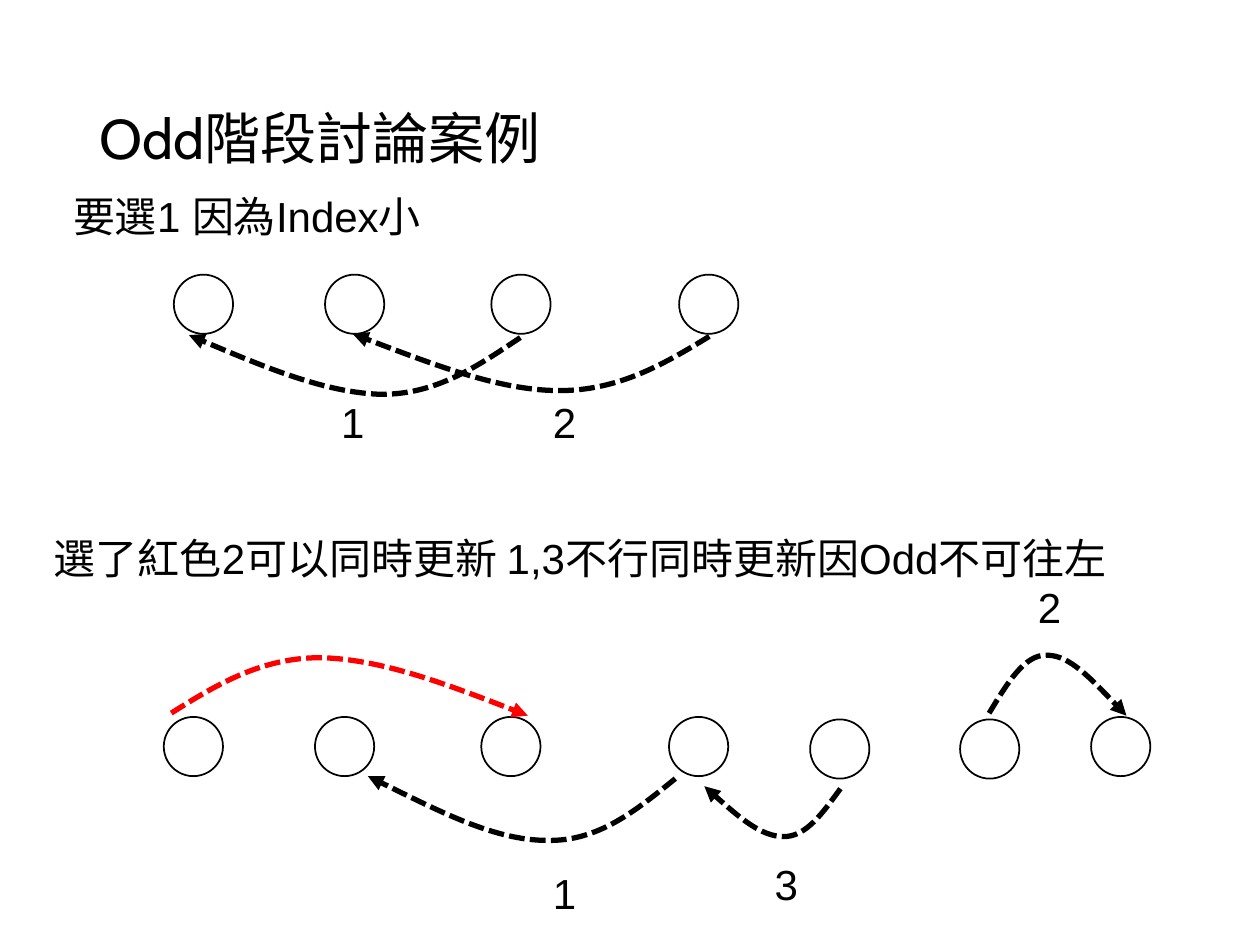
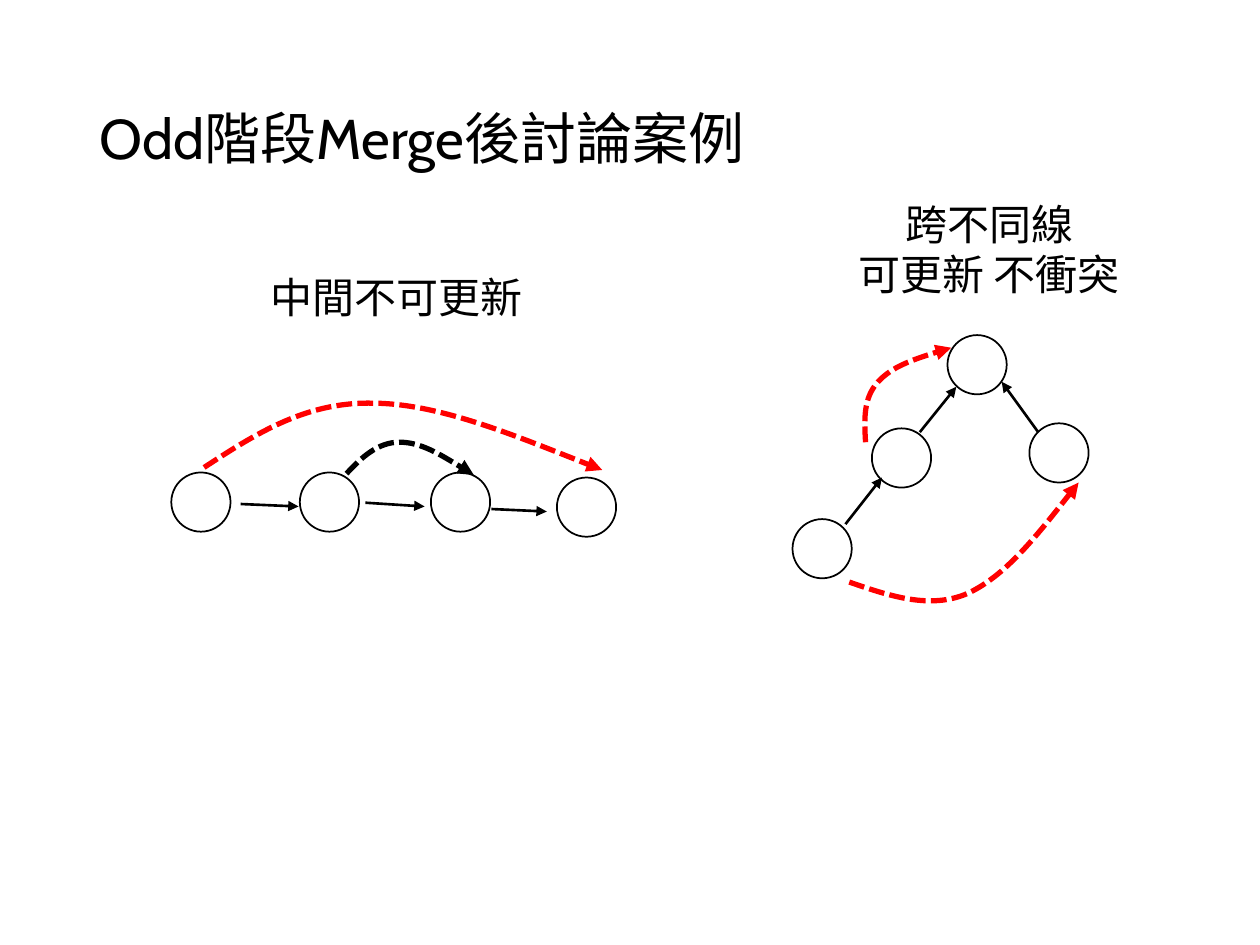
from dataclasses import dataclass

from pptx import Presentation
from pptx.dml.color import RGBColor
from pptx.enum.dml import MSO_LINE_DASH_STYLE as Dash
from pptx.enum.shapes import MSO_CONNECTOR, MSO_SHAPE
from pptx.enum.text import MSO_ANCHOR, PP_ALIGN
from pptx.oxml.ns import qn
from pptx.slide import Slide
from pptx.util import Inches, Pt
from lxml.etree import SubElement

Point = tuple[float, float]


@dataclass(frozen=True)
class Theme:
    black: RGBColor = RGBColor(0, 0, 0)
    red: RGBColor = RGBColor(255, 0, 0)
    title_font: str = "Cabin"
    body_font: str = "Arial"
    title_size: int = 32
    body_size: int = 24
    node_line: float = 1
    edge_line: float = 1.5
    jump_line: float = 3
    node_size: float = 0.47


THEME = Theme()


@dataclass(frozen=True)
class Label:
    left: float
    top: float
    text: str
    width: float = 1.42
    height: float = 0.71


@dataclass(frozen=True)
class Jump:
    """A dashed arrow: a start point, then three points for each Bezier curve."""
    points: tuple[Point, ...]
    color: RGBColor = THEME.black


@dataclass(frozen=True)
class Edge:
    start: Point
    end: Point


@dataclass(frozen=True)
class Case:
    title: str
    nodes: tuple[Point, ...]
    jumps: tuple[Jump, ...]
    labels: tuple[Label, ...]
    edges: tuple[Edge, ...] = ()


def add_text(s: Slide, label: Label, font: str, size: int,
             align: PP_ALIGN, spacing: float = 1.0) -> None:
    box = s.shapes.add_textbox(Inches(label.left), Inches(label.top),
                               Inches(label.width), Inches(label.height))
    tf = box.text_frame
    tf.word_wrap = True
    tf.vertical_anchor = MSO_ANCHOR.MIDDLE
    tf.text = label.text
    for p in tf.paragraphs:
        p.alignment = align
        p.line_spacing = spacing
        p.font.name = font
        p.font.size = Pt(size)
        p.font.color.rgb = THEME.black


def add_node(s: Slide, at: Point) -> None:
    size = Inches(THEME.node_size)
    node = s.shapes.add_shape(MSO_SHAPE.OVAL, Inches(at[0]), Inches(at[1]), size, size)
    node.shadow.inherit = False
    node.fill.background()
    node.line.color.rgb = THEME.black
    node.line.width = Pt(THEME.node_line)


def style_arrow(shape, color: RGBColor, width: float) -> None:
    shape.line.color.rgb = color
    shape.line.width = Pt(width)
    SubElement(shape.line._get_or_add_ln(), qn("a:tailEnd"), type="triangle")


def add_jump(s: Slide, jump: Jump) -> None:
    start, *rest = [(Inches(x), Inches(y)) for x, y in jump.points]
    builder = s.shapes.build_freeform(*start)
    builder.add_line_segments(rest, close=False)
    shape = builder.convert_to_shape()
    curve_segments(shape)
    shape.shadow.inherit = False
    shape.fill.background()
    shape.line.dash_style = Dash.SQUARE_DOT
    style_arrow(shape, jump.color, THEME.jump_line)


def curve_segments(shape) -> None:
    """Turn each three straight segments of a freeform into one Bezier curve."""
    outline = next(shape._element.iter(qn("a:path")))
    segments = outline.findall(qn("a:lnTo"))
    for i in range(0, len(segments), 3):
        curve = SubElement(outline, qn("a:cubicBezTo"))
        for segment in segments[i:i + 3]:
            curve.append(segment[0])
            outline.remove(segment)


def add_edge(s: Slide, edge: Edge) -> None:
    line = s.shapes.add_connector(MSO_CONNECTOR.STRAIGHT,
                                  *(Inches(v) for v in edge.start + edge.end))
    style_arrow(line, THEME.black, THEME.edge_line)
    SubElement(line._element.spPr, qn("a:effectLst"))


def add_case(prs: Presentation, case: Case) -> None:
    s = prs.slides.add_slide(prs.slide_layouts[6])
    add_text(s, Label(0.69, 0.4, case.title, 8.62, 1.45),
             THEME.title_font, THEME.title_size, PP_ALIGN.LEFT, 0.9)
    for node in case.nodes:
        add_node(s, node)
    for jump in case.jumps:
        add_jump(s, jump)
    for edge in case.edges:
        add_edge(s, edge)
    for label in case.labels:
        add_text(s, label, THEME.body_font, THEME.body_size, PP_ALIGN.CENTER)


ROW_X = (1.38, 2.58, 3.9, 5.39)
LOWER_SHIFT = -0.08

ODD_CASE = Case(
    title="Odd階段討論案例",
    nodes=(*((x, 2.18) for x in ROW_X),
           *((x + LOWER_SHIFT, 5.69) for x in ROW_X),
           (6.43, 5.71), (7.62, 5.71), (8.66, 5.69)),
    jumps=(
        Jump(((5.63, 2.67), (5.27, 2.89), (4.91, 3.1), (4.44, 3.1),
              (3.97, 3.1), (3.38, 2.87), (2.8, 2.65))),
        Jump(((4.13, 2.68), (3.8, 2.9), (3.47, 3.13), (3.03, 3.13),
              (2.59, 3.12), (2.04, 2.89), (1.5, 2.66))),
        Jump(((1.36, 5.66), (1.71, 5.44), (2.07, 5.22), (2.54, 5.22),
              (3.02, 5.23), (3.6, 5.45), (4.19, 5.68)), THEME.red),
        Jump(((5.36, 6.18), (5.05, 6.43), (4.75, 6.68), (4.34, 6.67),
              (3.93, 6.67), (3.43, 6.41), (2.92, 6.16))),
        Jump(((7.85, 5.66), (7.99, 5.43), (8.13, 5.19), (8.31, 5.2),
              (8.49, 5.2), (8.71, 5.44), (8.94, 5.68))),
        Jump(((6.67, 6.26), (6.53, 6.45), (6.4, 6.64), (6.22, 6.64),
              (6.04, 6.64), (5.81, 6.44), (5.59, 6.24))),
    ),
    labels=(
        Label(0.28, 1.36, "要選1 因為Index小", 3.36),
        Label(2.09, 2.99, "1"),
        Label(3.77, 2.99, "2"),
        Label(0.08, 4.07, "選了紅色2可以同時更新 1,3不行同時更新因Odd不可往左", 9.05),
        Label(7.62, 4.46, "2"),
        Label(3.77, 6.73, "1"),
        Label(5.53, 6.66, "3"),
    ),
)

MERGE_CASE = Case(
    title="Odd階段Merge後討論案例",
    nodes=((1.36, 3.75), (2.38, 3.75), (3.42, 3.75), (4.42, 3.79),
           (6.29, 4.12), (6.92, 3.4), (7.52, 2.66), (8.17, 3.36)),
    jumps=(
        Jump(((1.62, 3.71), (2.02, 3.45), (2.42, 3.19), (2.95, 3.2),
              (3.47, 3.2), (4.12, 3.47), (4.78, 3.73)), THEME.red),
        Jump(((2.75, 3.76), (2.87, 3.63), (3, 3.51), (3.17, 3.51),
              (3.34, 3.51), (3.55, 3.64), (3.76, 3.77))),
        Jump(((6.74, 4.62), (7.06, 4.73), (7.38, 4.84), (7.68, 4.71),
              (7.98, 4.57), (8.27, 4.2), (8.56, 3.83)), THEME.red),
        Jump(((6.87, 3.51), (6.86, 3.33), (6.85, 3.16), (6.97, 3.03),
              (7.08, 2.91), (7.31, 2.83), (7.55, 2.76)), THEME.red),
    ),
    edges=(
        Edge((1.91, 4), (2.37, 4.02)),
        Edge((2.9, 3.99), (3.37, 4.02)),
        Edge((3.9, 4.04), (4.34, 4.06)),
        Edge((6.71, 4.16), (7, 3.79)),
        Edge((7.3, 3.43), (7.59, 3.07)),
        Edge((8.24, 3.43), (7.95, 3.03)),
    ),
    labels=(
        Label(1.88, 2, "中間不可更新", 2.53),
        Label(6.39, 1.62, "跨不同線\n可更新 不衝突", 2.92),
    ),
)


def main() -> None:
    prs = Presentation()
    prs.slide_width, prs.slide_height = Inches(10), Inches(7.5)
    for case in (ODD_CASE, MERGE_CASE):
        add_case(prs, case)
    prs.save("out.pptx")


if __name__ == "__main__":
    main()
